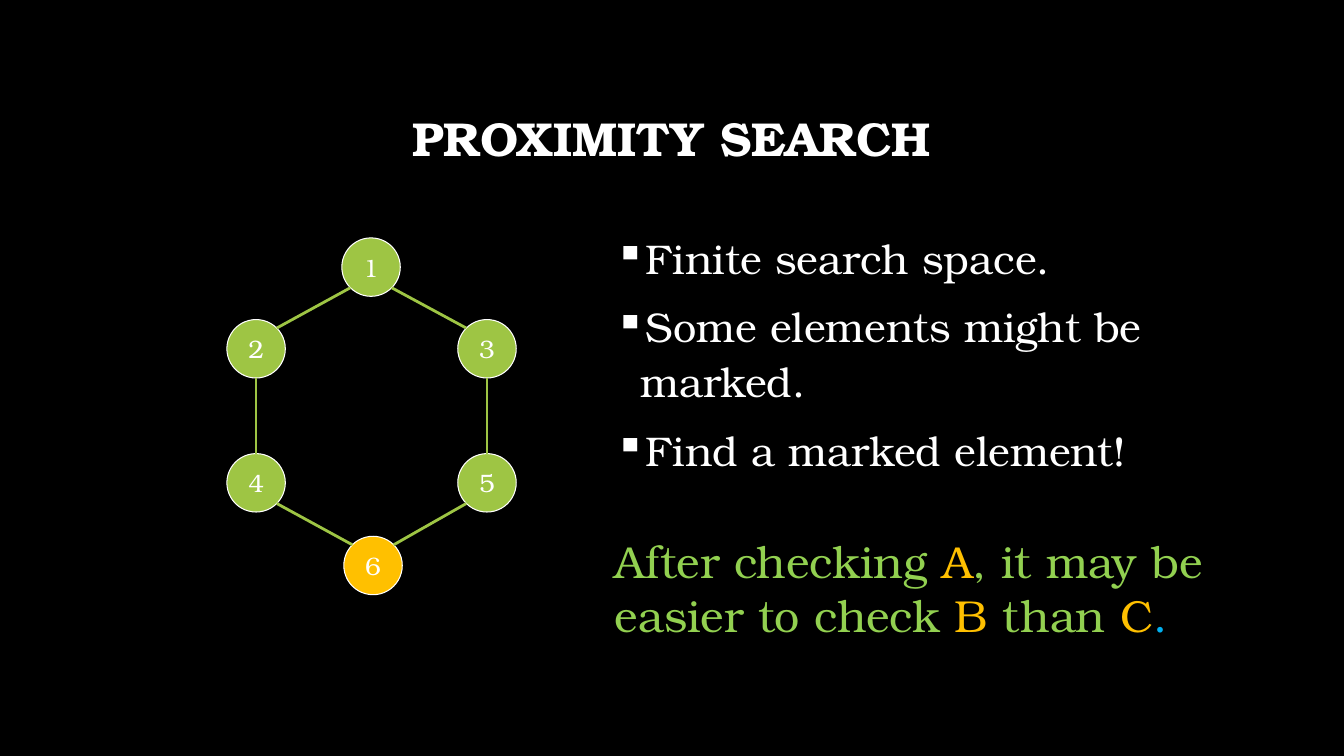
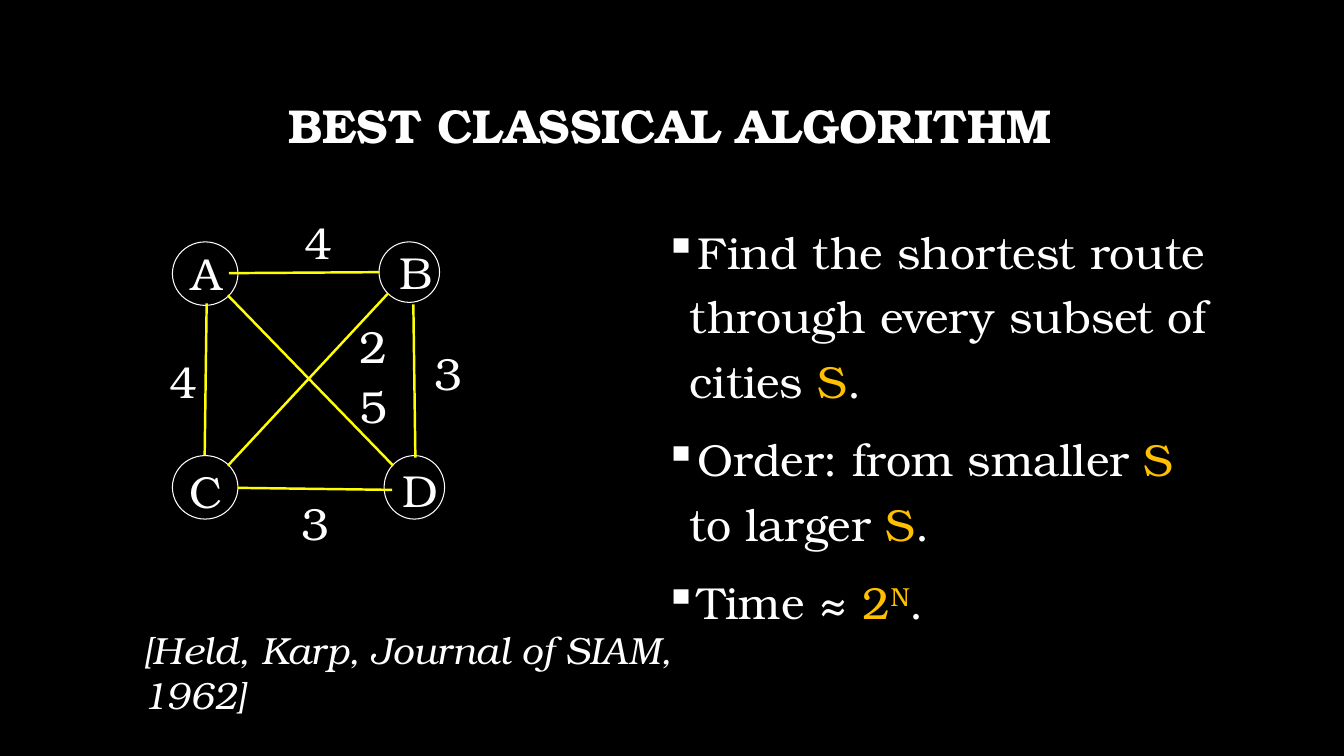
import math
from dataclasses import dataclass
from typing import NamedTuple

import pptx
import pptx.util
import pptx.dml.color
import pptx.enum.shapes
import pptx.enum.text
import pptx.oxml.ns
from lxml import etree
from pptx.util import Inches

FONT = "TeX Gyre Bonum"
COLORS = {
    "background": "000000",
    "text": "FFFFFF",
    "node": "9EC544",
    "accent": "FFC000",
    "remark": "92D050",
    "stop": "00B0F0",
    "road": "FFFF00",
}
ALIGN = pptx.enum.text.PP_ALIGN
ANCHOR = pptx.enum.text.MSO_ANCHOR


class Box(NamedTuple):
    left: float
    top: float
    width: float
    height: float

    def inches(self) -> tuple:
        return tuple(Inches(value) for value in self)


class Edge(NamedTuple):
    x1: float
    y1: float
    x2: float
    y2: float


class Span(NamedTuple):
    text: str
    color: str = "text"
    superscript: bool = False


@dataclass
class Node:
    label: str
    x: float
    y: float
    color: str = "node"


@dataclass
class Label:
    text: str
    left: float
    top: float
    width: float = 0.45


def rgb(name: str) -> pptx.dml.color.RGBColor:
    return pptx.dml.color.RGBColor.from_string(COLORS[name])


# Shared drawing functions
def style_run(run, size: float, color: str = "text", bold: bool = False, italic: bool = False) -> None:
    run.font.name = FONT
    run.font.size = pptx.util.Pt(size)
    run.font.color.rgb = rgb(color)
    run.font.bold = bold
    run.font.italic = italic


def add_spans(paragraph, spans: list[Span], size: float) -> None:
    for span in spans:
        run = paragraph.add_run()
        run.text = span.text
        style_run(run, size, span.color)
        if span.superscript:
            run._r.get_or_add_rPr().set("baseline", "30000")


def add_frame(slide, box: Box, wrap: bool = True):
    frame = slide.shapes.add_textbox(*box.inches()).text_frame
    frame.word_wrap = wrap
    return frame


def add_titled_slide(deck, title: str, box: Box):
    slide = deck.slides.add_slide(deck.slide_layouts[6])
    slide.background.fill.solid()
    slide.background.fill.fore_color.rgb = rgb("background")
    frame = add_frame(slide, box)
    frame.text = title
    frame.vertical_anchor = ANCHOR.MIDDLE
    heading = frame.paragraphs[0]
    heading.alignment = ALIGN.CENTER
    heading.line_spacing = 0.9
    style_run(heading.runs[0], 34, bold=True)
    return slide


def add_bullets(slide, box: Box, points: list[list[Span]], size: float, spacing: float) -> None:
    frame = add_frame(slide, box)
    for index, spans in enumerate(points):
        point = frame.add_paragraph() if index else frame.paragraphs[0]
        point.line_spacing = spacing
        point.space_before = pptx.util.Pt(10)
        add_spans(point, spans, size)
        properties = point._p.get_or_add_pPr()
        properties.set("marL", str(Inches(0.25)))
        properties.set("indent", str(Inches(-0.25)))
        bullet = etree.SubElement(properties, pptx.oxml.ns.qn("a:buChar"))
        bullet.set("char", "▪")


def add_circle(slide, box: Box, fill: str | None = None):
    circle = slide.shapes.add_shape(pptx.enum.shapes.MSO_SHAPE.OVAL, *box.inches())
    circle.shadow.inherit = False
    if fill:
        circle.fill.solid()
        circle.fill.fore_color.rgb = rgb(fill)
    else:
        circle.fill.background()
    circle.line.color.rgb = rgb("text")
    circle.line.width = pptx.util.Pt(0.75)
    return circle


def add_edge(slide, edge: Edge, color: str, weight: float) -> None:
    line = slide.shapes.add_connector(
        pptx.enum.shapes.MSO_CONNECTOR.STRAIGHT, *(Inches(value) for value in edge))
    line.line.color.rgb = rgb(color)
    line.line.width = pptx.util.Pt(weight)
    etree.SubElement(line._element.spPr, pptx.oxml.ns.qn("a:effectLst"))


def add_label(slide, label: Label) -> None:
    frame = add_frame(slide, Box(label.left, label.top, label.width, 0.64), wrap=False)
    frame.text = label.text
    frame.auto_size = pptx.enum.text.MSO_AUTO_SIZE.SHAPE_TO_FIT_TEXT
    style_run(frame.paragraphs[0].runs[0], 32)


# Proximity search: a ring of numbered elements
DIAMETER = 0.58
LEFT_X, MIDDLE_X, RIGHT_X = 2.54, 3.68, 4.83
UPPER_Y, LOWER_Y = 3.46, 4.79
RING = [
    Node("1", MIDDLE_X, 2.65),
    Node("2", LEFT_X, UPPER_Y),
    Node("3", RIGHT_X, UPPER_Y),
    Node("4", LEFT_X, LOWER_Y),
    Node("5", RIGHT_X, LOWER_Y),
    Node("6", 3.7, 5.61, "accent"),
]
RING_EDGES = ["13", "46", "12", "56", "24", "35"]


def ring_edge(start: Node, end: Node) -> Edge:
    """Join the facing top, bottom or diagonal points of two nodes."""
    radius = DIAMETER / 2
    if start.x == end.x:
        dx, dy = 0, radius
    else:
        dx = math.copysign(radius * math.sqrt(0.5), end.x - start.x)
        dy = radius * math.sqrt(0.5)
    return Edge(start.x + dx, start.y + dy, end.x - dx, end.y - dy)


def build_proximity_search(deck) -> None:
    slide = add_titled_slide(deck, "PROXIMITY SEARCH", Box(1, 0.67, 11.32, 1.45))
    add_bullets(slide, Box(6, 2.21, 5.46, 2.71), [
        [Span("Finite search space.")],
        [Span("Some elements might be marked.")],
        [Span("Find a marked element!")],
    ], 29.6, 1.1)

    for node in RING:
        box = Box(node.x - DIAMETER / 2, node.y - DIAMETER / 2, DIAMETER, DIAMETER)
        frame = add_circle(slide, box, node.color).text_frame
        frame.text = node.label
        frame.word_wrap = False
        frame.vertical_anchor = ANCHOR.MIDDLE
        frame.paragraphs[0].alignment = ALIGN.CENTER
        style_run(frame.paragraphs[0].runs[0], 18)

    remark = add_frame(slide, Box(6, 5.25, 6.45, 1.2))
    add_spans(remark.paragraphs[0], [
        Span("After checking ", "remark"), Span("A", "accent"),
        Span(", it may be easier to check ", "remark"), Span("B ", "accent"),
        Span("than ", "remark"), Span("C", "accent"), Span(".", "stop"),
    ], 32)

    nodes = {node.label: node for node in RING}
    for start, end in RING_EDGES:
        add_edge(slide, ring_edge(nodes[start], nodes[end]), "node", 2)


# Best classical algorithm: four cities and their distances
CITY_CIRCLES = [
    Box(1.71, 2.4, 0.65, 0.63),
    Box(3.76, 2.4, 0.6, 0.6),
    Box(1.71, 4.52, 0.65, 0.63),
    Box(3.81, 4.52, 0.6, 0.63),
]
CITY_NAMES = [
    Label("A", 1.8, 2.39, 0.47),
    Label("B", 3.86, 2.38, 0.43),
    Label("C", 1.78, 4.55, 0.49),
    Label("D", 3.89, 4.54, 0.47),
]
ROADS = [
    Edge(2.27, 2.71, 3.76, 2.7),
    Edge(2.36, 4.84, 3.89, 4.86),
    Edge(4.1, 3.02, 4.12, 4.54),
    Edge(2.05, 3.01, 2.03, 4.52),
    Edge(2.26, 2.93, 3.9, 4.62),
    Edge(3.85, 2.91, 2.26, 4.62),
]
DISTANCES = [
    Label("4", 2.92, 2.08),
    Label("4", 1.58, 3.46),
    Label("3", 4.21, 3.38),
    Label("2", 3.47, 3.11),
    Label("5", 3.47, 3.71),
    Label("3", 2.89, 4.87),
]


def build_classical_algorithm(deck) -> None:
    slide = add_titled_slide(deck, "BEST CLASSICAL ALGORITHM", Box(1.23, 0.46, 10.83, 1.62))
    subset = Span("S", "accent")
    add_bullets(slide, Box(6.49, 2.07, 5.8, 4.95), [
        [Span("Find the shortest route through every subset of cities "), subset, Span(".")],
        [Span("Order: from smaller "), subset, Span(" to larger "), subset, Span(".")],
        [Span("Time ≈ "), Span("2", "accent"), Span("N", "accent", True), Span(".")],
    ], 32, 1.2)

    for box in CITY_CIRCLES:
        add_circle(slide, box)
    for road in ROADS:
        add_edge(slide, road, "road", 1.75)
    for label in CITY_NAMES + DISTANCES:
        add_label(slide, label)

    # Citation
    citation = add_frame(slide, Box(1.39, 6.41, 5.79, 0.51))
    citation.text = "[Held, Karp, Journal of SIAM, 1962]"
    citation.vertical_anchor = ANCHOR.MIDDLE
    citation.margin_left = citation.margin_right = Inches(0.03)
    citation.margin_top = citation.margin_bottom = Inches(0.03)
    style_run(citation.paragraphs[0].runs[0], 27, italic=True)


def main() -> None:
    deck = pptx.Presentation()
    deck.slide_width = Inches(13.33)
    deck.slide_height = Inches(7.5)
    build_proximity_search(deck)
    build_classical_algorithm(deck)
    deck.save("out.pptx")


if __name__ == "__main__":
    main()
